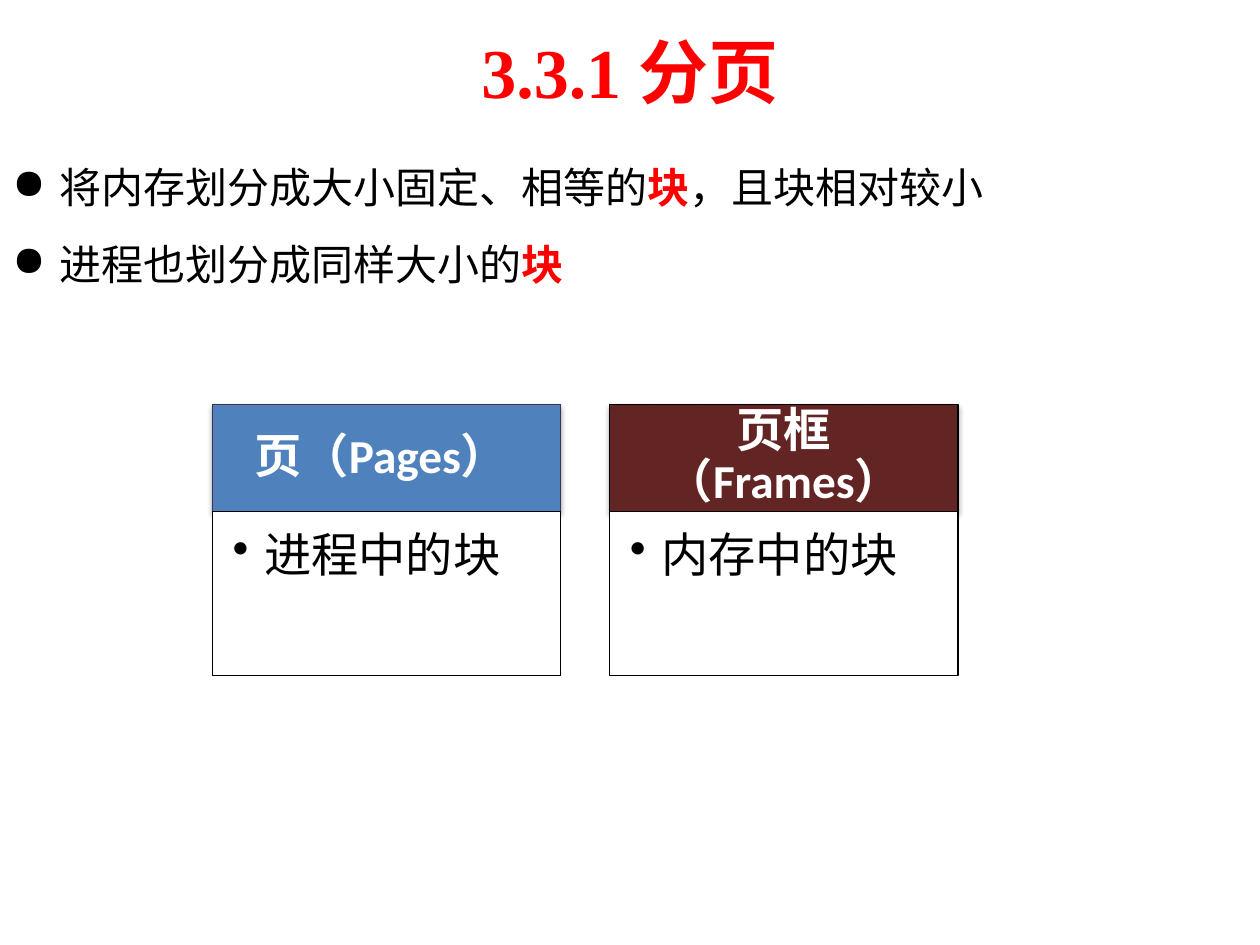
from lxml.etree import SubElement
from pptx import Presentation
from pptx.dml.color import RGBColor
from pptx.enum.shapes import MSO_SHAPE as Shape
from pptx.enum.text import MSO_ANCHOR as Anchor, PP_ALIGN as Align
from pptx.oxml.ns import qn
from pptx.util import Pt

BLACK = RGBColor(0x00, 0x00, 0x00)
WHITE = RGBColor(0xFF, 0xFF, 0xFF)
TITLE_RED = RGBColor(0xFE, 0x00, 0x00)
KEY_RED = RGBColor(0xFF, 0x00, 0x00)
BLUE = RGBColor(0x4F, 0x81, 0xBD)
MAROON = RGBColor(0x63, 0x25, 0x23)
PURPLE = RGBColor(0x40, 0x31, 0x52)

TITLE_FONT = dict(name="Times New Roman", size=Pt(40), bold=True)
POINT_FONT = dict(name="Arial", size=Pt(24))
HEAD_FONT = dict(name="Calibri", size=Pt(27), bold=True)
DETAIL_FONT = dict(name="Calibri", size=Pt(27), bold=False)

POINT_SPACING = dict(line_spacing=1.2, space_before=Pt(4.8), space_after=Pt(4.8))
HEAD_SPACING = dict(alignment=Align.CENTER, line_spacing=0.9, space_after=Pt(9.45))
DETAIL_SPACING = dict(alignment=Align.LEFT, line_spacing=0.9, space_after=Pt(4.05))

HEAD_FRAME = dict(word_wrap=True, vertical_anchor=Anchor.MIDDLE,
                  margin_left=Pt(15), margin_right=Pt(15),
                  margin_top=Pt(8.5), margin_bottom=Pt(8.5))
DETAIL_FRAME = dict(word_wrap=True, vertical_anchor=Anchor.TOP,
                    margin_left=Pt(11.5), margin_right=Pt(15),
                    margin_top=Pt(11.5), margin_bottom=Pt(17))

CARD_LEFT, CARD_TOP, CARD_WIDTH, CARD_STEP = 121.5, 231, 199, 227
HEAD_HEIGHT, DETAIL_HEIGHT = 61.5, 93.5


def apply(target, formats):
    for attribute, value in formats.items():
        setattr(target, attribute, value)


def add_words(paragraph, words, font, color):
    run = paragraph.add_run()
    run.text = words
    apply(run.font, font)
    run.font.color.rgb = color


def add_bullet(paragraph, symbol, indent):
    properties = paragraph._p.get_or_add_pPr()
    properties.set("marL", str(Pt(indent)))
    properties.set("indent", str(-Pt(indent)))
    SubElement(properties, qn("a:buChar"), char=symbol)


def add_soft_shadow(box):
    effects = box._element.spPr.find(qn("a:effectLst"))
    shadow = SubElement(effects, qn("a:outerShdw"), blurRad=str(Pt(3.1)),
                        dist=str(Pt(1.8)), dir="5400000", rotWithShape="0")
    tint = SubElement(shadow, qn("a:srgbClr"), val=str(BLACK))
    SubElement(tint, qn("a:alpha"), val="35000")


def add_title(slide, words):
    frame = slide.shapes.add_textbox(Pt(0), Pt(3.6), Pt(720), Pt(73.5)).text_frame
    apply(frame, dict(word_wrap=True, vertical_anchor=Anchor.MIDDLE))
    heading = frame.paragraphs[0]
    heading.alignment = Align.CENTER
    add_words(heading, words, TITLE_FONT, TITLE_RED)


def add_points(slide, points):
    frame = slide.shapes.add_textbox(Pt(0), Pt(82.8), Pt(694.8), Pt(357)).text_frame
    frame.word_wrap = True
    for index, (before, key, after) in enumerate(points):
        point = frame.add_paragraph() if index else frame.paragraphs[0]
        apply(point, POINT_SPACING)
        add_bullet(point, "●", 27)
        add_words(point, before, POINT_FONT, BLACK)
        add_words(point, key, dict(POINT_FONT, bold=True), KEY_RED)
        if after:
            add_words(point, after, POINT_FONT, BLACK)


def add_box(slide, left, top, height, fill, border, margins):
    box = slide.shapes.add_shape(Shape.RECTANGLE, Pt(left), Pt(top),
                                 Pt(CARD_WIDTH), Pt(height))
    box.shadow.inherit = False
    box.fill.solid()
    box.fill.fore_color.rgb = fill
    box.line.color.rgb = border
    box.line.width = Pt(0.75)
    apply(box.text_frame, margins)
    return box


def add_card(slide, left, term, meaning, fill, border):
    head = add_box(slide, left, CARD_TOP, HEAD_HEIGHT, fill, border, HEAD_FRAME)
    add_soft_shadow(head)
    label = head.text_frame.paragraphs[0]
    apply(label, HEAD_SPACING)
    add_words(label, term, HEAD_FONT, WHITE)

    detail = add_box(slide, left, CARD_TOP + HEAD_HEIGHT, DETAIL_HEIGHT,
                     WHITE, BLACK, DETAIL_FRAME)
    item = detail.text_frame.paragraphs[0]
    apply(item, DETAIL_SPACING)
    add_bullet(item, "•", 18)
    add_words(item, meaning, DETAIL_FONT, BLACK)


def main():
    deck = Presentation()
    deck.slide_width, deck.slide_height = Pt(720), Pt(540)
    slide = deck.slides.add_slide(deck.slide_layouts[6])
    add_points(slide, [
        ("将内存划分成大小固定、相等的", "块", "，且块相对较小"),
        ("进程也划分成同样大小的", "块", ""),
    ])
    add_title(slide, "3.3.1 分页")
    cards = [
        ("页（Pages） ", "进程中的块", BLUE, PURPLE),
        ("页框（Frames）", "内存中的块", MAROON, BLACK),
    ]
    for column, card in enumerate(cards):
        add_card(slide, CARD_LEFT + column * CARD_STEP, *card)
    deck.save("out.pptx")


if __name__ == "__main__":
    main()
